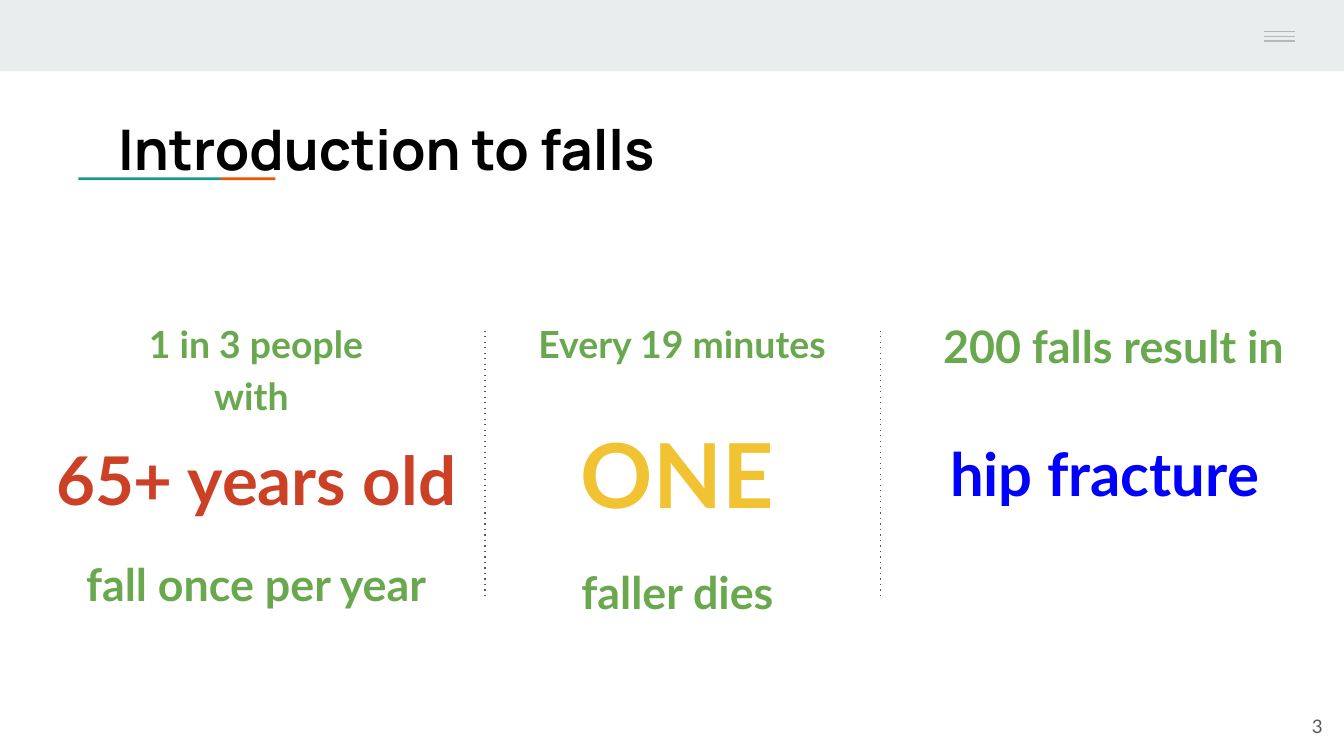
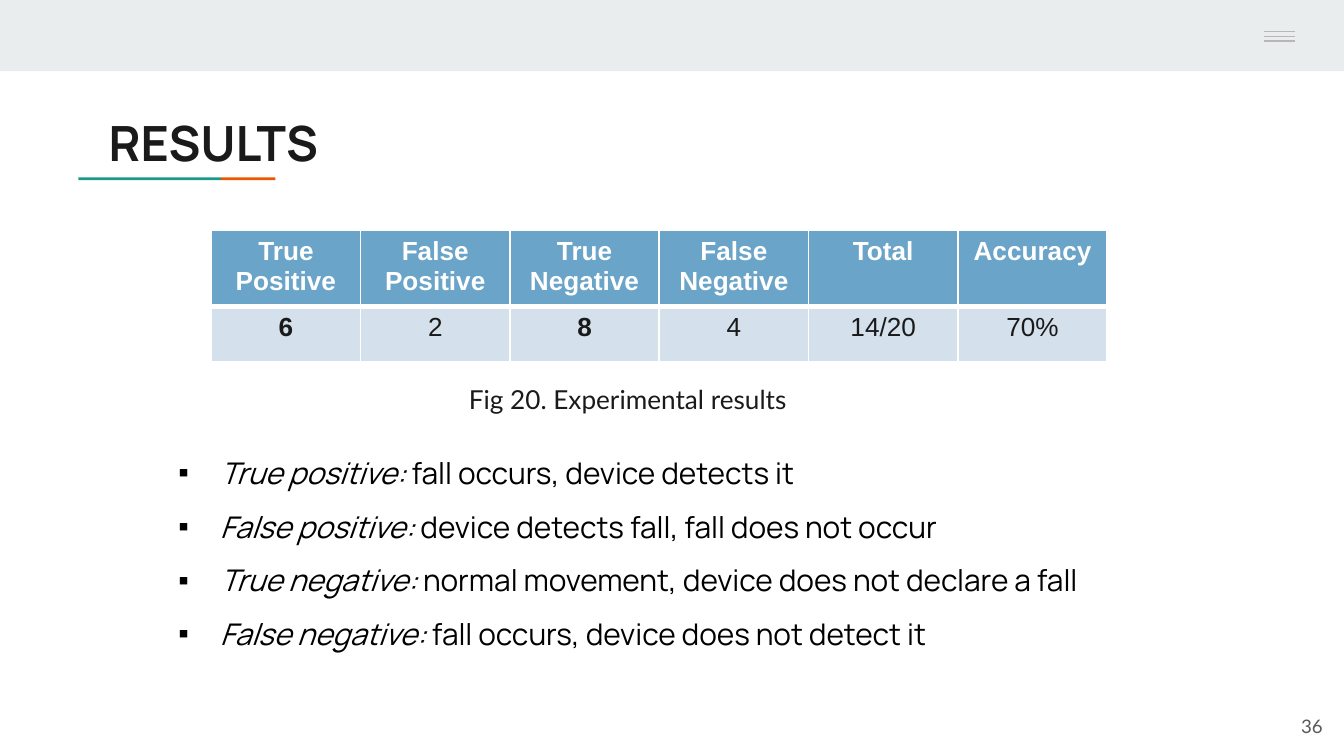
from lxml import etree
from pptx import Presentation
from pptx.dml.color import RGBColor
from pptx.enum.shapes import MSO_CONNECTOR, MSO_SHAPE
from pptx.enum.text import MSO_ANCHOR, PP_ALIGN
from pptx.oxml.ns import qn
from pptx.util import Pt

RECTANGLE = MSO_SHAPE.RECTANGLE
STRAIGHT = MSO_CONNECTOR.STRAIGHT
TOP, MIDDLE = MSO_ANCHOR.TOP, MSO_ANCHOR.MIDDLE
LEFT, CENTER, RIGHT = PP_ALIGN.LEFT, PP_ALIGN.CENTER, PP_ALIGN.RIGHT

COLORS = {
    "band": "E9EDEE", "menu": "B7B7B7", "teal": "1A9988", "orange": "EB5600",
    "black": "000000", "ink": "1A1A1A", "gray": "595959", "white": "FFFFFF",
    "green": "6AA84F", "red": "CC4125", "yellow": "F1C232", "blue": "0000FF",
    "table_head": "6AA4C8", "table_body": "D4E0EB",
}
SLIDE_WIDTH, SLIDE_HEIGHT = 720, 405
INSET = 7.2


def rgb(name):
    return RGBColor.from_string(COLORS[name])


def apply(target, values):
    for name, value in values.items():
        setattr(target, name, value)


def style(size, color, name="Lato", bold=False, italic=False):
    return {"size": Pt(size), "name": name, "bold": bold, "italic": italic, "color": color}


def write_run(paragraph, text, font_values):
    run = paragraph.add_run()
    run.text = text
    values = dict(font_values)
    run.font.color.rgb = rgb(values.pop("color"))
    apply(run.font, values)


def indent(paragraph, margin, first_line=0, bullet=None):
    properties = paragraph._p.get_or_add_pPr()
    properties.set("marL", str(Pt(margin)))
    properties.set("indent", str(Pt(first_line)))
    if bullet:
        color = etree.SubElement(properties, qn("a:buClr"))
        etree.SubElement(color, qn("a:srgbClr"), val=COLORS["black"])
        etree.SubElement(properties, qn("a:buFont"), typeface="Arial")
        etree.SubElement(properties, qn("a:buChar"), char=bullet)


def add_text(slide, box, paragraphs, anchor=TOP):
    frame = slide.shapes.add_textbox(*map(Pt, box)).text_frame
    apply(frame, {
        "word_wrap": True, "vertical_anchor": anchor,
        "margin_left": Pt(INSET), "margin_right": Pt(INSET),
        "margin_top": Pt(INSET), "margin_bottom": Pt(INSET),
    })
    for index, (runs, values, indents) in enumerate(paragraphs):
        paragraph = frame.add_paragraph() if index else frame.paragraphs[0]
        if indents:
            indent(paragraph, *indents)
        apply(paragraph, values)
        for text, font_values in runs:
            write_run(paragraph, text, font_values)


def add_block(slide, box, color):
    shape = slide.shapes.add_shape(RECTANGLE, *map(Pt, box))
    shape.shadow.inherit = False
    shape.fill.solid()
    shape.fill.fore_color.rgb = rgb(color)
    shape.line.fill.background()


def add_line(slide, start, end, color, dash=None):
    connector = slide.shapes.add_connector(STRAIGHT, *map(Pt, start + end))
    connector.line.color.rgb = rgb(color)
    connector.line.width = Pt(0.75)
    properties = connector._element.spPr
    if dash:
        etree.SubElement(properties.find(qn("a:ln")), qn("a:prstDash"), val=dash)
    etree.SubElement(properties, qn("a:effectLst"))


def add_header(slide, box):
    left, top, width, height = box
    add_block(slide, box, "band")
    menu_left = left + width - 43
    for index in range(3):
        y = top + 17 + 2.5 * index
        add_line(slide, (menu_left, y), (menu_left + 17, y), "menu")


def add_title(slide, box, text, size, color):
    add_block(slide, (42, 95, 76.5, 1.5), "teal")
    add_block(slide, (118.5, 95, 29, 1.5), "orange")
    add_text(slide, box, [([(text, style(size, color, "Manrope", bold=True))], {}, None)])


def add_page_number(slide, box, number):
    runs = [(number, style(10, "gray"))]
    add_text(slide, box, [(runs, {"alignment": RIGHT}, None)], MIDDLE)


def start_slide(presentation, number, title_box, title, size, color):
    slide = presentation.slides.add_slide(presentation.slide_layouts[6])
    add_header(slide, (0, 0, SLIDE_WIDTH, 38.2))
    add_title(slide, title_box, title, size, color)
    add_page_number(slide, (672.5, 373.7, 43.2, 31), number)
    return slide


def add_statistic(slide, box, lead, figure, outcome):
    left, top, width, height = box
    centered = {"alignment": CENTER, "line_spacing": 1.15}
    lead_text, lead_size, lead_offset, lead_width = lead
    figure_text, figure_size, figure_color, figure_offset = figure
    add_text(slide, (left + lead_offset[0], top + lead_offset[1], lead_width, 18), [
        ([(lead_text, style(lead_size, "green", bold=True))],
         {**centered, "space_after": Pt(16)}, None)])
    paragraphs = [([(figure_text, style(figure_size, figure_color, bold=True))], centered, None)]
    if outcome:
        paragraphs.append((
            [(outcome, style(24, "green", bold=True))],
            {**centered, "space_before": Pt(16), "space_after": Pt(16)}, None))
    add_text(slide, (left, top + figure_offset, width, height - figure_offset), paragraphs)


def build_introduction(presentation):
    slide = start_slide(presentation, "3", (56.2, 54, 580, 81.4), "Introduction to falls", 30, "black")
    top = 161.3
    add_statistic(slide, (2.2, top, 270, 135),
                  ("1 in 3 people with ", 20, (65.5, 0), 139),
                  ("65+ years old", 36, "red", 59.7), "fall once per year")
    add_statistic(slide, (272.2, top, 181.4, 122),
                  ("Every 19 minutes", 20, (8.6, 0), 169.2),
                  ("ONE", 48, "yellow", 47.5), "faller dies")
    add_statistic(slide, (501.1, top, 181.4, 135),
                  ("200 falls result in", 24, (-29.5, -2.2), 249.8),
                  ("hip fracture", 32, "blue", 59.7), None)
    for x in (259.9, 471.6):
        add_line(slide, (x, 177.1), (x, 321.1), "gray", "dot")


def set_border(cell, side, width):
    properties = cell._tc.get_or_add_tcPr()
    line = etree.SubElement(properties, qn("a:" + side), w=str(Pt(width)))
    fill = etree.SubElement(line, qn("a:solidFill"))
    etree.SubElement(fill, qn("a:srgbClr"), val=COLORS["white"])


def add_results_table(slide, box, rows):
    table = slide.shapes.add_table(len(rows), len(rows[0]), *map(Pt, box)).table
    apply(table, {"first_row": True, "horz_banding": False})
    for column in table.columns:
        column.width = Pt(box[2] / len(rows[0]))
    for row_index, values in enumerate(rows):
        heading = row_index == 0
        table.rows[row_index].height = Pt(box[3] / len(rows))
        for column_index, text in enumerate(values):
            cell = table.cell(row_index, column_index)
            widths = {"lnL": 1, "lnR": 1, "lnT": 1 if heading else 3, "lnB": 3 if heading else 1}
            for side, width in widths.items():
                set_border(cell, side, width)
            cell.fill.solid()
            cell.fill.fore_color.rgb = rgb("table_head" if heading else "table_body")
            paragraph = cell.text_frame.paragraphs[0]
            paragraph.alignment = CENTER
            write_run(paragraph, text, style(
                14, "white" if heading else "ink", "Arial", bold=heading or text in ("6", "8")))


def add_definitions(slide, box, definitions):
    add_text(slide, box, [
        ([(term + ": ", style(16, "black", "Manrope", italic=True)),
          (meaning, style(16, "black", "Manrope"))],
         {"alignment": LEFT, "line_spacing": 1.5}, (30.24, -22.3, "▪"))
        for term, meaning in definitions])


def build_results(presentation):
    slide = start_slide(presentation, "36", (51.1, 53.3, 536.4, 108.7), "RESULTS", 26, "ink")
    add_results_table(slide, (113.2, 123.3, 480, 59), [
        ("True Positive", "False Positive", "True Negative", "False Negative", "Total", "Accuracy"),
        ("6", "2", "8", "4", "14/20", "70%"),
    ])
    add_text(slide, (232.6, 195.8, 272, 36), [
        ([("Fig 20. Experimental results", style(14, "ink"))],
         {"line_spacing": 1.15}, (11.5,))])
    add_definitions(slide, (80.6, 226.8, 565.2, 140), [
        ("True positive", "fall occurs, device detects it"),
        ("False positive", "device detects fall, fall does not occur"),
        ("True negative", "normal movement, device does not declare a fall"),
        ("False negative", "fall occurs, device does not detect it"),
    ])


def main():
    presentation = Presentation()
    presentation.slide_width = Pt(SLIDE_WIDTH)
    presentation.slide_height = Pt(SLIDE_HEIGHT)
    build_introduction(presentation)
    build_results(presentation)
    presentation.save("out.pptx")


if __name__ == "__main__":
    main()
